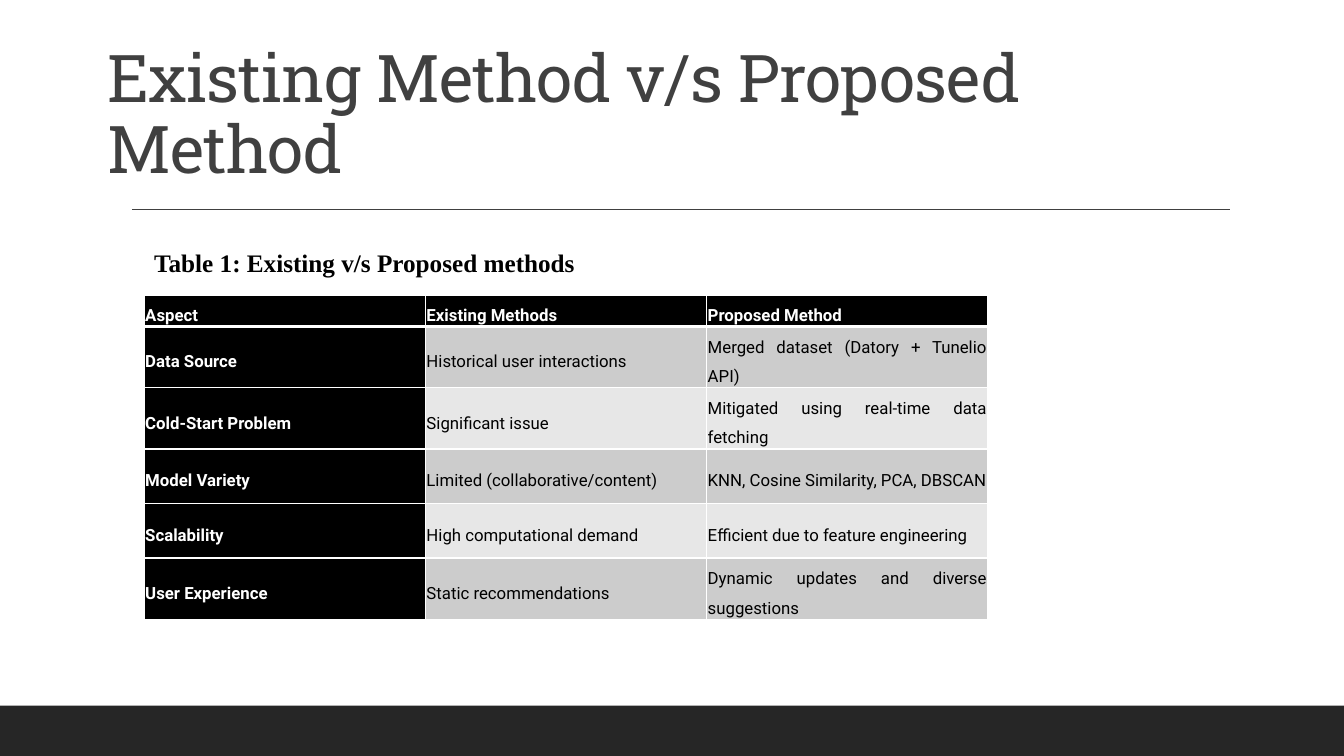
from dataclasses import dataclass

from lxml import etree
from pptx import Presentation
from pptx.dml.color import RGBColor
from pptx.enum.shapes import MSO_CONNECTOR, MSO_SHAPE
from pptx.enum.text import MSO_ANCHOR, MSO_AUTO_SIZE, PP_ALIGN
from pptx.oxml.ns import qn
from pptx.util import Pt

STRAIGHT = MSO_CONNECTOR.STRAIGHT
RECTANGLE = MSO_SHAPE.RECTANGLE
MIDDLE, BOTTOM = MSO_ANCHOR.MIDDLE, MSO_ANCHOR.BOTTOM
LEFT, JUSTIFY = PP_ALIGN.LEFT, PP_ALIGN.JUSTIFY
NO_AUTOFIT, GROW = MSO_AUTO_SIZE.NONE, MSO_AUTO_SIZE.SHAPE_TO_FIT_TEXT


@dataclass(frozen=True)
class Theme:
    white: str = "FFFFFF"
    black: str = "000000"
    title: str = "404040"
    footer: str = "262626"
    bands: tuple = ("E7E7E7", "CCCCCC")
    title_font: str = "Roboto Slab"
    caption_font: str = "Times New Roman"
    table_font: str = "Roboto"
    title_size: int = 47
    caption_size: int = 18
    table_size: int = 12


theme = Theme()


def add_run(paragraph, text, font, size, color, bold=False):
    run = paragraph.add_run()
    run.text = text
    run.font.name = font
    run.font.size = Pt(size)
    run.font.bold = bold
    run.font.color.rgb = RGBColor.from_string(color)
    return run


def add_border(cell, side, width):
    """Draw one white cell border; side is L, R, T or B."""
    properties = cell._tc.get_or_add_tcPr()
    line = etree.SubElement(properties, qn(f"a:ln{side}"), w=str(Pt(width)))
    fill = etree.SubElement(line, qn("a:solidFill"))
    etree.SubElement(fill, qn("a:srgbClr"), val=theme.white)


presentation = Presentation()
presentation.slide_width = Pt(960)
presentation.slide_height = Pt(540)
slide = presentation.slides.add_slide(presentation.slide_layouts[5])
shapes = slide.shapes

# Footer band and rule
footer = shapes.add_shape(RECTANGLE, Pt(0), Pt(504), Pt(960), Pt(36))
footer.shadow.inherit = False
footer.fill.solid()
footer.fill.fore_color.rgb = RGBColor.from_string(theme.footer)
footer.line.fill.background()

rule = shapes.add_connector(STRAIGHT, Pt(94.3), Pt(149.5), Pt(878.8), Pt(149.5))
rule.line.width = Pt(1)
rule.line.color.rgb = RGBColor.from_string(theme.title)
etree.SubElement(rule._element.spPr, qn("a:effectLst"))

# Title
title = shapes.title
title.left, title.top, title.width, title.height = Pt(69.4), Pt(22.6), Pt(809.4), Pt(115)
title_frame = title.text_frame
title_frame.word_wrap = True
title_frame.auto_size = NO_AUTOFIT
title_frame.vertical_anchor = BOTTOM
paragraph = title_frame.paragraphs[0]
paragraph.alignment = LEFT
paragraph.line_spacing = 0.9
run = add_run(paragraph, "Existing Method v/s Proposed Method",
              theme.title_font, theme.title_size, theme.title)
run.font._element.set("spc", "-50")

# Comparison table
rows = [
    ("Aspect", "Existing Methods", "Proposed Method"),
    ("Data Source", "Historical user interactions", "Merged dataset (Datory + Tunelio API)"),
    ("Cold-Start Problem", "Significant issue", "Mitigated using real-time data fetching"),
    ("Model Variety", "Limited (collaborative/content)", "KNN, Cosine Similarity, PCA, DBSCAN"),
    ("Scalability", "High computational demand", "Efficient due to feature engineering"),
    ("User Experience", "Static recommendations", "Dynamic updates and diverse suggestions"),
]
row_heights = [21, 39, 39, 39, 39, 40.5]
table = shapes.add_table(len(rows), 3, Pt(103), Pt(210.7), Pt(602.7), Pt(sum(row_heights))).table
for column in table.columns:
    column.width = Pt(200.9)

for row_index, (texts, height) in enumerate(zip(rows, row_heights)):
    table.rows[row_index].height = Pt(height)
    for column_index, text in enumerate(texts):
        cell = table.cell(row_index, column_index)
        is_heading = row_index == 0 or column_index == 0
        cell.margin_left = cell.margin_right = Pt(0.75)
        cell.margin_top = cell.margin_bottom = Pt(0.75)
        cell.vertical_anchor = MIDDLE
        add_border(cell, "L", 1)
        add_border(cell, "R", 1)
        add_border(cell, "T", 3 if row_index == 1 else 1)
        add_border(cell, "B", 3 if row_index == 0 else 1)
        cell.fill.solid()
        fill_color = theme.black if is_heading else theme.bands[row_index % 2]
        cell.fill.fore_color.rgb = RGBColor.from_string(fill_color)
        paragraph = cell.text_frame.paragraphs[0]
        paragraph.alignment = JUSTIFY
        paragraph.line_spacing = 1.5
        add_run(paragraph, text, theme.table_font, theme.table_size,
                theme.white if is_heading else theme.black, is_heading)

# Table caption
caption = shapes.add_textbox(Pt(103), Pt(173), Pt(480), Pt(29))
caption.text_frame.word_wrap = True
caption.text_frame.auto_size = GROW
add_run(caption.text_frame.paragraphs[0], "Table 1: Existing v/s Proposed methods",
        theme.caption_font, theme.caption_size, theme.black, True)

presentation.save("out.pptx")
